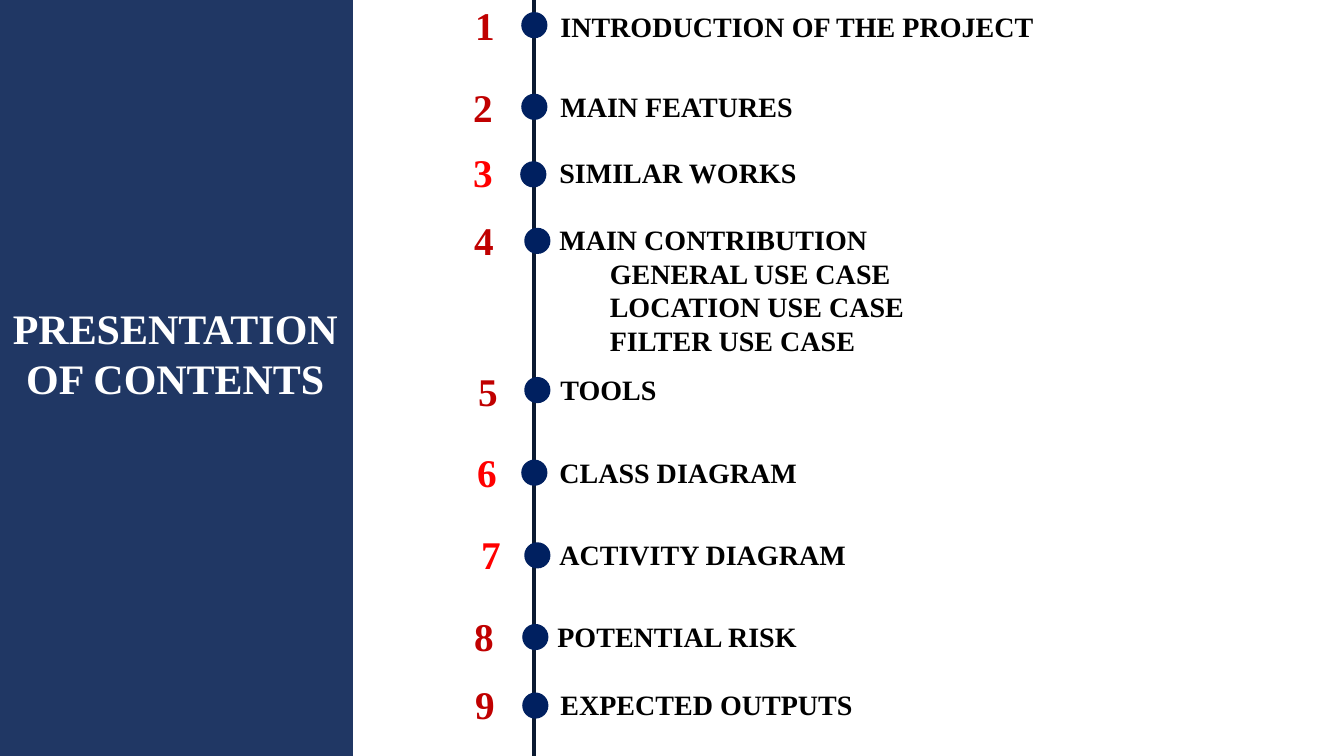
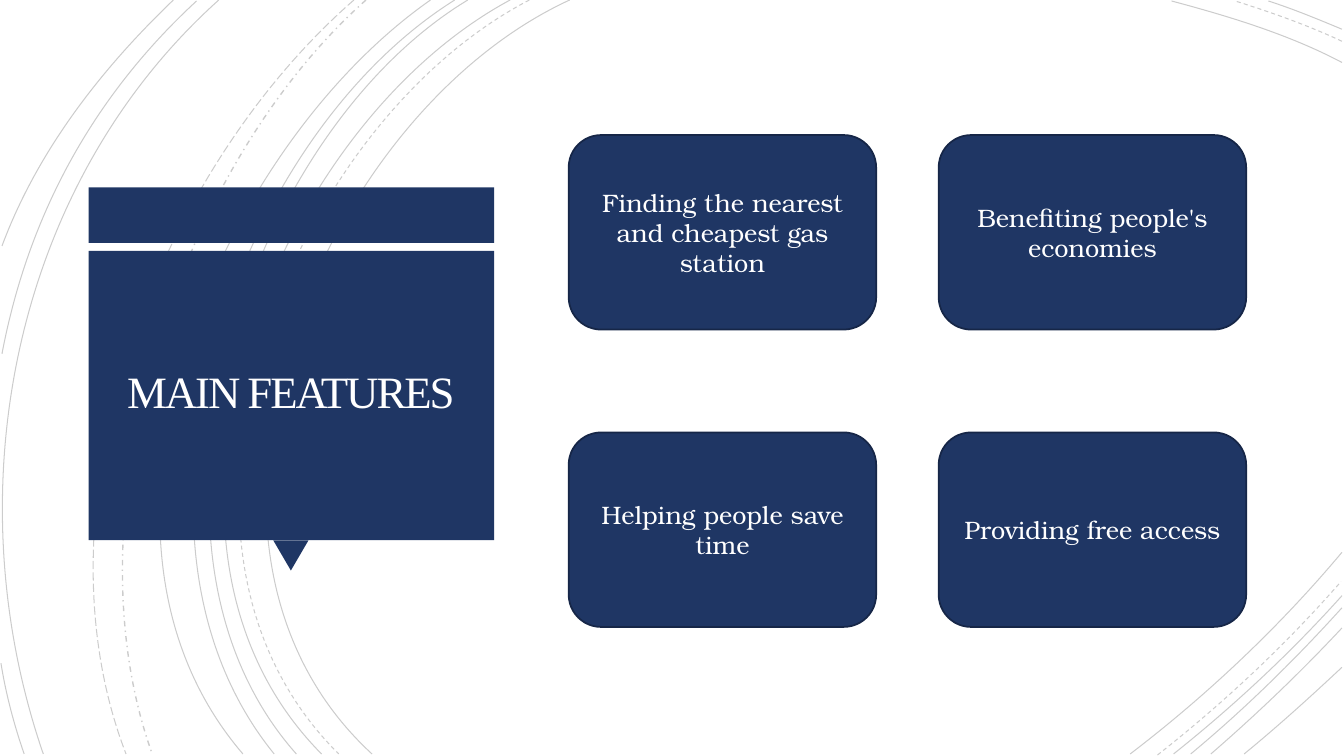
from lxml import etree
from pptx import Presentation
from pptx.dml.color import RGBColor
from pptx.enum.dml import MSO_LINE
from pptx.enum.shapes import MSO_CONNECTOR, MSO_SHAPE
from pptx.enum.text import MSO_ANCHOR, MSO_AUTO_SIZE, PP_ALIGN
from pptx.oxml.ns import qn
from pptx.util import Emu, Pt

RECT, OVAL = MSO_SHAPE.RECTANGLE, MSO_SHAPE.OVAL
ROUNDED, TRIANGLE = MSO_SHAPE.ROUNDED_RECTANGLE, MSO_SHAPE.ISOSCELES_TRIANGLE
SOLID, DASH = MSO_LINE.SOLID, MSO_LINE.DASH
DASH_DOT, LONG_DASH = MSO_LINE.DASH_DOT, MSO_LINE.LONG_DASH
LEFT, CENTER = PP_ALIGN.LEFT, PP_ALIGN.CENTER
TOP, MIDDLE = MSO_ANCHOR.TOP, MSO_ANCHOR.MIDDLE

PX = 9144
SLIDE_W, SLIDE_H = 1333, 750
TITLE_ONLY = 5
SERIF, BODY = "Times New Roman", "TeX Gyre Bonum"
COLORS = {
    "panel": "203764",
    "card": "1F3664",
    "card_line": "162647",
    "axis": "0A1931",
    "dot": "002060",
    "dark_red": "C00000",
    "red": "FF0000",
    "black": "000000",
    "white": "FFFFFF",
}

AXIS_X, DOT = 530, 26
AGENDA = [
    ("1", "dark_red", (446, -4), (517, 12), (546, 5), ["INTRODUCTION OF THE PROJECT"]),
    ("2", "dark_red", (444, 78), (517, 93), (546, 84), ["MAIN FEATURES"]),
    ("3", "red", (444, 142), (516, 160), (545, 149), ["SIMILAR WORKS"]),
    ("4", "dark_red", (445, 210), (520, 226), (545, 216),
     ["MAIN CONTRIBUTION", "GENERAL USE CASE", "LOCATION USE CASE", "FILTER USE CASE"]),
    ("5", "dark_red", (449, 359), (520, 374), (546, 365), ["TOOLS"]),
    ("6", "red", (448, 440), (517, 456), (545, 447), ["CLASS DIAGRAM"]),
    ("7", "red", (452, 521), (520, 538), (545, 528), ["ACTIVITY DIAGRAM"]),
    ("8", "dark_red", (445, 603), (518, 619), (543, 610), ["POTENTIAL RISK"]),
    ("9", "dark_red", (446, 670), (518, 687), (546, 677), ["EXPECTED OUTPUTS"]),
]

FEATURES = [
    "Finding the nearest and cheapest gas station",
    "Benefiting people's economies",
    "Helping people save time",
    "Providing free access",
]

ARCS = [
    (SOLID, 0.75, [
        [(565, 0), (315, 115), (143, 540), (369, 748)],
        [(1331, 62), (1278, 34), (1218, 16), (1162, 1)],
        [(1121, 748), (1197, 690), (1269, 622), (1331, 548)],
        [(506, 0), (270, 127), (110, 537), (319, 748)],
        [(1331, 29), (1307, 19), (1283, 9), (1258, 1)],
        [(1164, 748), (1223, 701), (1280, 648), (1331, 591)],
        [(464, 0), (244, 133), (110, 541), (294, 748)],
        [(1181, 748), (1234, 704), (1284, 655), (1331, 603)],
        [(451, 0), (231, 138), (97, 533), (272, 748)],
        [(1201, 748), (1246, 709), (1290, 667), (1331, 623)],
        [(427, 0), (217, 147), (53, 529), (241, 748)],
        [(1234, 748), (1267, 721), (1299, 692), (1331, 662)],
        [(217, 0), (11, 185), (-46, 490), (43, 748)],
        [(195, 1), (92, 96), (28, 214), (2, 351)],
        [(1, 658), (6, 689), (14, 719), (24, 748)],
        [(172, 0), (100, 69), (37, 150), (2, 244)],
    ]),
    (DASH, 0.75, [
        [(525, 0), (285, 125), (123, 537), (336, 748)],
        [(1331, 41), (1297, 25), (1260, 12), (1225, 1)],
        [(1148, 749), (1213, 698), (1275, 640), (1330, 577)],
    ]),
    (DASH_DOT, 1, [[(363, 0), (176, 166), (65, 509), (151, 748)]]),
    (LONG_DASH, 0.75, [[(351, 0), (157, 169), (29, 499), (125, 748)]]),
]


def px(*values):
    return [Emu(v * PX) for v in values]


def rgb(name):
    return RGBColor.from_string(COLORS[name])


def add_box(s, kind, box, fill, line=None):
    sp = s.shapes.add_shape(kind, *px(*box))
    sp.shadow.inherit = False
    sp.fill.solid()
    sp.fill.fore_color.rgb = rgb(fill)
    if line:
        sp.line.color.rgb = rgb(line)
        sp.line.width = Pt(1.25)
    else:
        sp.line.fill.background()
    return sp


def write(sp, lines, size, color, font=SERIF, bold=False, align=LEFT, anchor=TOP, indent=0):
    tf = sp.text_frame
    tf.word_wrap = True
    tf.auto_size = MSO_AUTO_SIZE.NONE
    tf.vertical_anchor = anchor
    for i, line in enumerate(lines):
        p = tf.paragraphs[0] if i == 0 else tf.add_paragraph()
        p.alignment = align
        if i and indent:
            p._p.get_or_add_pPr().set("marL", str(indent * PX))
        r = p.add_run()
        r.text = line
        r.font.name = font
        r.font.size = Pt(size)
        r.font.bold = bold
        r.font.color.rgb = rgb(color)
    return tf


def add_text(s, box, lines, size, color, **style):
    return write(s.shapes.add_textbox(*px(*box)), lines, size, color, **style)


def place_title(s, box, text, size, **style):
    title = s.shapes.title
    title.left, title.top, title.width, title.height = px(*box)
    s.shapes._spTree.append(title._element)
    return write(title, [text], size, "white", align=CENTER, **style)


def add_axis(s, x):
    line = s.shapes.add_connector(MSO_CONNECTOR.STRAIGHT, *px(x, 0, x, SLIDE_H))
    line.line.color.rgb = rgb("axis")
    line.line.width = Pt(3)
    etree.SubElement(line._element.spPr, qn("a:effectLst"))


def add_arc(s, points, dash, width):
    start, *rest = points
    builder = s.shapes.build_freeform(*start, scale=PX)
    builder.add_line_segments(rest, close=False)
    sp = builder.convert_to_shape()
    outline = sp._element.find(".//" + qn("a:path"))
    curve = etree.SubElement(outline, qn("a:cubicBezTo"))
    for segment in outline.findall(qn("a:lnTo")):
        curve.append(segment[0])
        outline.remove(segment)
    sp.shadow.inherit = False
    sp.fill.background()
    sp.line.color.rgb = rgb("black")
    sp.line.width = Pt(width)
    sp.line.dash_style = dash
    color = sp.line._ln.find(".//" + qn("a:srgbClr"))
    etree.SubElement(color, qn("a:alpha"), val="20000")


def build_contents(prs):
    s = prs.slides.add_slide(prs.slide_layouts[TITLE_ONLY])
    add_axis(s, AXIS_X)
    add_box(s, RECT, (0, 0, 350, SLIDE_H), "panel")
    for number, color, number_at, dot_at, label_at, lines in AGENDA:
        add_box(s, OVAL, (*dot_at, DOT, DOT), "dot")
        add_text(s, (*number_at, 70, 57), [number], 28, color, bold=True, align=CENTER)
        height = 10 + 34 * len(lines)
        add_text(s, (*label_at, 760, height), lines, 20, "black", bold=True, indent=50)
    place_title(s, (-2, 295, 352, 111), "PRESENTATION OF CONTENTS", 30, bold=True)


def build_features(prs):
    s = prs.slides.add_slide(prs.slide_layouts[TITLE_ONLY])
    for dash, width, arcs in ARCS:
        for points in arcs:
            add_arc(s, points, dash, width)

    add_box(s, RECT, (88, 186, 402, 55), "card")
    add_box(s, TRIANGLE, (271, 536, 35, 30), "card").rotation = 180
    add_box(s, RECT, (88, 249, 402, 287), "card")
    tf = place_title(s, (97, 257, 383, 269), "MAIN FEATURES", 32, anchor=MIDDLE)
    tf.margin_left, tf.margin_top, tf.margin_right, tf.margin_bottom = px(25, 25, 25, 25)
    p = tf.paragraphs[0]
    p.line_spacing = 0.85
    p.runs[0].font._element.set("spc", "-150")

    for i, text in enumerate(FEATURES):
        row, col = divmod(i, 2)
        box = (564 + 367 * col, 134 + 295 * row, 305, 193)
        card = add_box(s, ROUNDED, box, "card", "card_line")
        write(card, [text], 18, "white", font=BODY, align=CENTER, anchor=MIDDLE)


def main():
    prs = Presentation()
    prs.slide_width, prs.slide_height = px(SLIDE_W, SLIDE_H)
    build_contents(prs)
    build_features(prs)
    prs.save("out.pptx")


if __name__ == "__main__":
    main()
